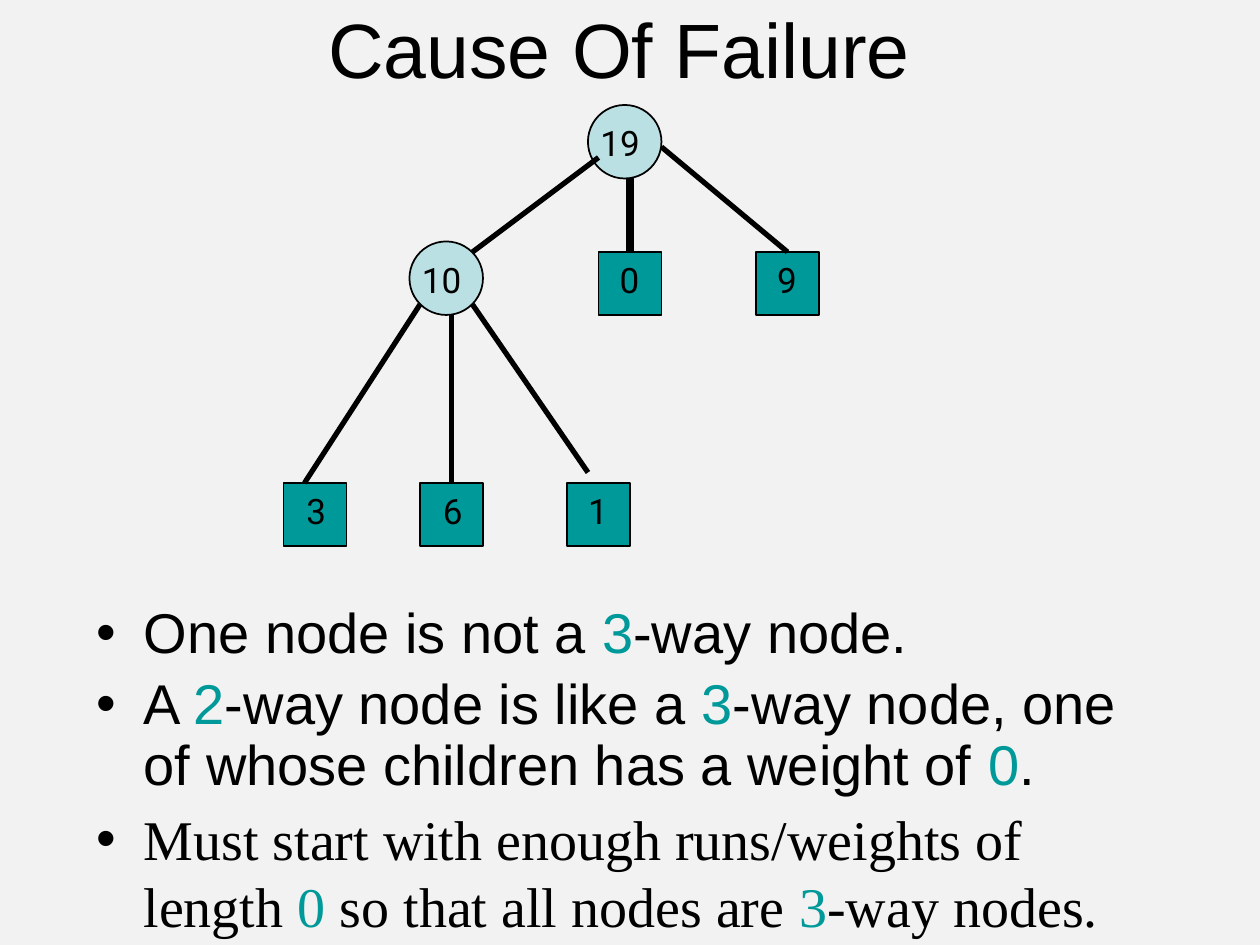
"""Build the slide on why the greedy three-way merge tree fails."""
from lxml.etree import SubElement
from pptx import Presentation
from pptx.dml.color import RGBColor
from pptx.enum.shapes import MSO_CONNECTOR, MSO_SHAPE
from pptx.enum.text import MSO_ANCHOR, MSO_AUTO_SIZE, PP_ALIGN
from pptx.oxml.ns import qn
from pptx.util import Pt

BLACK = RGBColor(0x00, 0x00, 0x00)
TEAL = RGBColor(0x00, 0x99, 0x99)
PALE_BLUE = RGBColor(0xBB, 0xE0, 0xE3)
LIGHT_GRAY = RGBColor(0xF2, 0xF2, 0xF2)


def write_bullet(paragraph, parts, font_name, line_spacing, space_before):
    properties = paragraph._p.get_or_add_pPr()
    properties.set("marL", str(Pt(27)))
    properties.set("indent", str(-Pt(27)))
    SubElement(properties, qn("a:buFont"), typeface="Arial")
    SubElement(properties, qn("a:buChar"), char="•")
    paragraph.line_spacing = line_spacing
    paragraph.space_before = Pt(space_before)
    for index, part in enumerate(parts):
        span = paragraph.add_run()
        span.text = part
        span.font.name, span.font.size = font_name, Pt(32)
        span.font.color.rgb = TEAL if index % 2 else BLACK


deck = Presentation()
deck.slide_width, deck.slide_height = Pt(720), Pt(540)
page = deck.slides.add_slide(deck.slide_layouts[1])
page.background.fill.solid()
page.background.fill.fore_color.rgb = LIGHT_GRAY

title = page.shapes.title
title.left, title.top, title.width, title.height = Pt(48), Pt(-18), Pt(612), Pt(90)
title.text_frame.text = "Cause Of Failure"
title.text_frame.vertical_anchor = MSO_ANCHOR.MIDDLE
heading = title.text_frame.paragraphs[0]
heading.alignment = PP_ALIGN.CENTER
font = heading.runs[0].font
font.name, font.size, font.color.rgb = "Arial", Pt(44), BLACK

body = page.placeholders[1]
body.left, body.top, body.width, body.height = Pt(48), Pt(342), Pt(612), Pt(120)
body.text_frame.auto_size = MSO_AUTO_SIZE.NONE
write_bullet(body.text_frame.paragraphs[0],
             ["One node is not a ", "3", "-way node."], "Arial", 0.9, 0)
write_bullet(body.text_frame.add_paragraph(),
             ["A ", "2", "-way node is like a ", "3",
              "-way node, one of whose children has a weight of ", "0", "."],
             "Arial", 0.9, 6.4)

conclusion = page.shapes.add_textbox(Pt(48), Pt(456), Pt(612), Pt(90))
conclusion.text_frame.word_wrap = True
write_bullet(conclusion.text_frame.paragraphs[0],
             ["Must start with enough runs/weights of length ", "0",
              " so that all nodes are ", "3", "-way nodes."],
             "Times New Roman", 1.0, 0)

nodes = [
    ("3", 162, 276, 6),
    ("6", 240, 276, 6),
    ("1", 324, 276, 5),
    ("0", 342, 144, 5),
    ("9", 432, 144, 5),
    ("10", 234, 138, 0),
    ("19", 336, 60, 0),
]
shapes = {}
for weight, left, top, label_shift in nodes:
    inner = weight in ("10", "19")
    kind, size = (MSO_SHAPE.OVAL, 42) if inner else (MSO_SHAPE.RECTANGLE, 36)
    node = page.shapes.add_shape(kind, Pt(left), Pt(top), Pt(size), Pt(size))
    node.shadow.inherit = False
    node.fill.solid()
    node.fill.fore_color.rgb = PALE_BLUE if inner else TEAL
    node.line.color.rgb = BLACK
    node.line.width = Pt(1)
    shapes[weight] = node
    label_top, label_width = (top + 6, 42) if inner else (top, 37.5)
    label = page.shapes.add_textbox(
        Pt(left + label_shift), Pt(label_top), Pt(label_width), Pt(31))
    label.text_frame.word_wrap = True
    label.text_frame.text = weight
    font = label.text_frame.paragraphs[0].runs[0].font
    font.name, font.size, font.color.rgb = "Roboto", Pt(20), BLACK

branches = [
    ((240, 174), (174, 276), 3, None),
    ((258, 180), (258, 276), 3, "6"),
    ((270, 174), (336, 270), 3, None),
    ((342, 90), (270, 144), 3, None),
    ((360, 102), (360, 144), 4.5, "0"),
    ((378, 84), (450, 144), 3, "9"),
]
for start, end, width, child in branches:
    branch = page.shapes.add_connector(
        MSO_CONNECTOR.STRAIGHT, *map(Pt, start), *map(Pt, end))
    branch.line.color.rgb = BLACK
    branch.line.width = Pt(width)
    SubElement(branch._element.spPr, qn("a:effectLst"))
    if child:
        branch.end_connect(shapes[child], 0)

deck.save("out.pptx")
